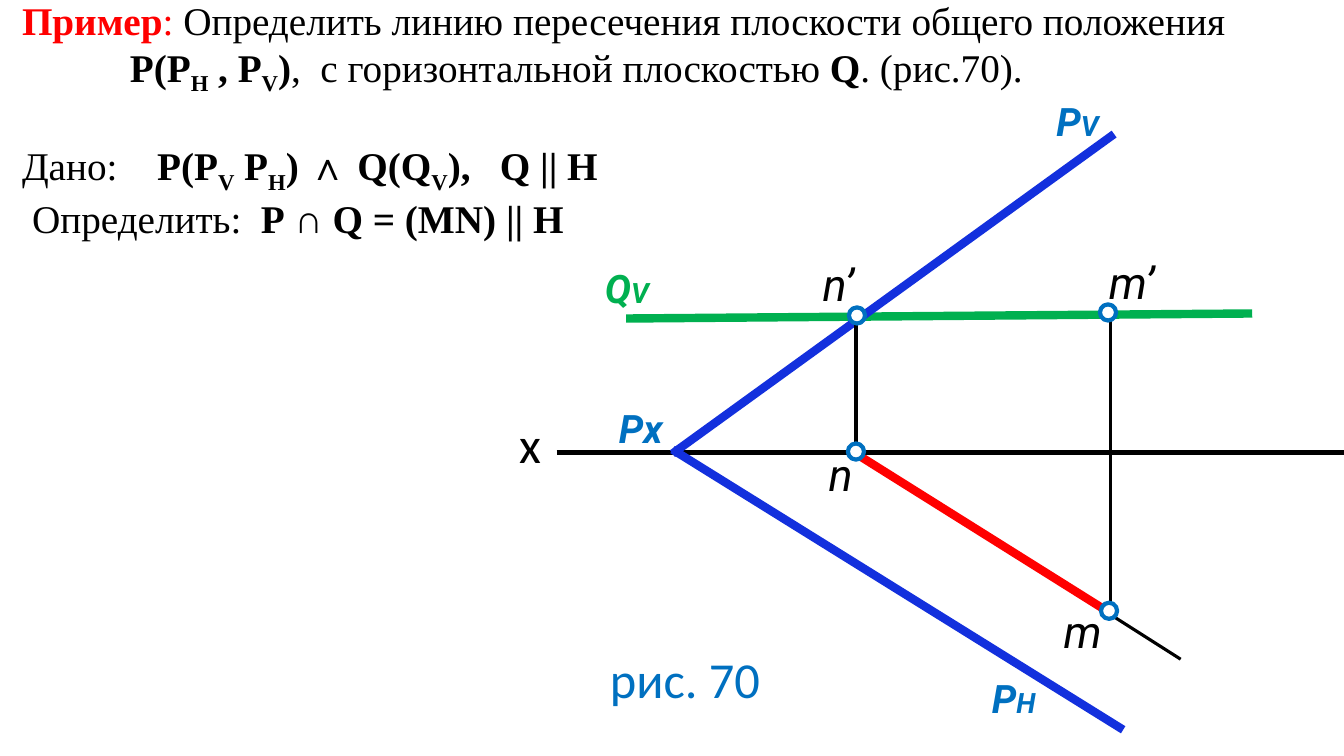
from lxml import etree
from pptx import Presentation
from pptx.dml.color import RGBColor
from pptx.enum.shapes import MSO_CONNECTOR, MSO_SHAPE
from pptx.enum.text import MSO_AUTO_SIZE
from pptx.oxml.ns import qn
from pptx.util import Emu, Pt

STRAIGHT = MSO_CONNECTOR.STRAIGHT
OVAL = MSO_SHAPE.OVAL
GROW = MSO_AUTO_SIZE.SHAPE_TO_FIT_TEXT

BLACK = RGBColor(0x00, 0x00, 0x00)
WHITE = RGBColor(0xFF, 0xFF, 0xFF)
RED = RGBColor(0xFF, 0x00, 0x00)
GREEN = RGBColor(0x00, 0xB0, 0x50)
BLUE = RGBColor(0x13, 0x30, 0xDD)
LIGHT_BLUE = RGBColor(0x00, 0x70, 0xC0)

PX = 9144  # 100 px to the inch


def px(*lengths):
    return [Emu(length * PX) for length in lengths]


def add_box(left, top, width, height, wrap=True):
    box = page.shapes.add_textbox(*px(left, top, width, height))
    box.text_frame.word_wrap = wrap
    box.text_frame.auto_size = GROW
    return box.text_frame


deck = Presentation()
deck.slide_width, deck.slide_height = px(1333, 750)
page = deck.slides.add_slide(deck.slide_layouts[6])

# Axis, plane traces, intersection line and projection lines
lines = [
    (1171, 654, 855, 453, BLACK, 2.25),
    (1096, 605, 852, 452, RED, 6),
    (552, 449, 1333, 449, BLACK, 3),
    (1114, 724, 667, 446, BLUE, 6),
    (621, 316, 1242, 311, GREEN, 6),
    (667, 450, 1105, 133, BLUE, 6),
    (849, 450, 849, 312, BLACK, 2.25),
    (1101, 607, 1101, 316, BLACK, 2.25),
]
for x1, y1, x2, y2, color, weight in lines:
    line = page.shapes.add_connector(STRAIGHT, *px(x1, y1, x2, y2))
    line.line.color.rgb = color
    line.line.width = Pt(weight)
    etree.SubElement(line._element.spPr, qn("a:effectLst"))

# Points n', m', m, n
for left, top in [(842, 305), (1091, 302), (1092, 598), (841, 440)]:
    point = page.shapes.add_shape(OVAL, *px(left, top, 16, 16))
    point.shadow.inherit = False
    point.fill.solid()
    point.fill.fore_color.rgb = WHITE
    point.line.color.rgb = LIGHT_BLUE
    point.line.width = Pt(3)

# Point labels
for name, left, top in [("n", 812, 438), ("m", 1045, 594), ("m’", 1090, 248), ("n’", 806, 250)]:
    para = add_box(left, top, 73, 64).paragraphs[0]
    para.text = name
    para.font.name, para.font.size = "Roboto", Pt(32)
    para.font.italic = True
    para.font.color.rgb = BLACK

# Trace labels: a letter and a smaller index
traces = [
    ("P", "H", 974, 664, 89, LIGHT_BLUE),
    ("P", "V", 1038, 92, 89, LIGHT_BLUE),
    ("Px", "", 604, 396, 67, LIGHT_BLUE),
    ("Q", "V", 590, 257, 89, GREEN),
]
for letter, index, left, top, width, color in traces:
    para = add_box(left, top, width, 57).paragraphs[0]
    para.font.name, para.font.size = "Roboto", Pt(28)
    para.font.bold = para.font.italic = True
    para.font.color.rgb = color
    para.add_run().text = letter
    if index:
        span = para.add_run()
        span.text = index
        span.font.size = Pt(20)

# Axis name and caption
captions = [("x", 505, 405, 43, True, BLACK), ("рис. 70", 595, 638, 171, False, LIGHT_BLUE)]
for caption, left, top, width, wrap, color in captions:
    para = add_box(left, top, width, 71, wrap).paragraphs[0]
    para.text = caption
    para.font.name, para.font.size = "Calibri", Pt(36)
    para.font.color.rgb = color

# Problem statement: space before, tab stops, then spans as (text, style);
# styles are b for bold, s for bold subscript, r for red
statement = [
    (0, [], [("Пример", "br"), (":", "r"), (" Определить линию пересечения плоскости общего положения", "")]),
    (0, [107, 296], [("\tP(P", "b"), ("H", "s"), (" , P", "b"), ("V", "s"), (")", "b"),
                     (",\tс горизонтальной плоскостью ", ""), ("Q", "b"), (". (рис.70).", "")]),
    (32, [134, 474], [("Дано:\t", ""), ("P(P", "b"), ("V", "s"), (" P", "b"), ("H", "s"),
                      (") ∧ Q(Q", "b"), ("V", "s"), ("),\tQ || H", "b")]),
    (0, [10, 237], [("\tОпределить:\t", ""), ("Р ∩ Q = (MN) || H", "b")]),
]
frame = add_box(12, -9, 1245, 246)
for number, (space, stops, spans) in enumerate(statement):
    para = frame.add_paragraph() if number else frame.paragraphs[0]
    if space:
        para.space_before = Pt(space)
    if stops:
        tabs = etree.SubElement(para._p.get_or_add_pPr(), qn("a:tabLst"))
        for stop in stops:
            etree.SubElement(tabs, qn("a:tab"), pos=str(stop * PX), algn="l")
    para.font.name, para.font.size = "Times New Roman", Pt(28)
    for text, style in spans:
        span = para.add_run()
        span.text = text
        span.font.bold = "b" in style or "s" in style
        span.font.color.rgb = RED if "r" in style else BLACK
        if "s" in style:
            span._r.get_or_add_rPr().set("baseline", "-25000")

deck.save("out.pptx")
